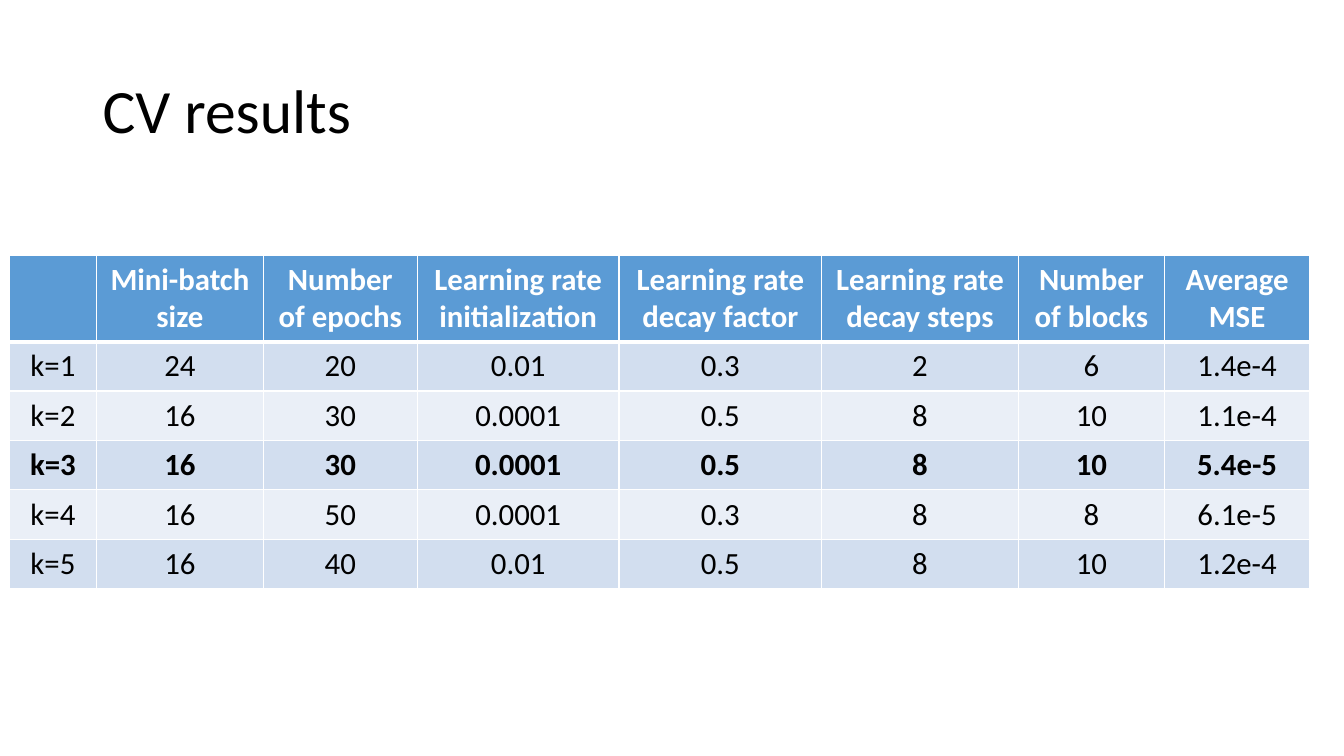
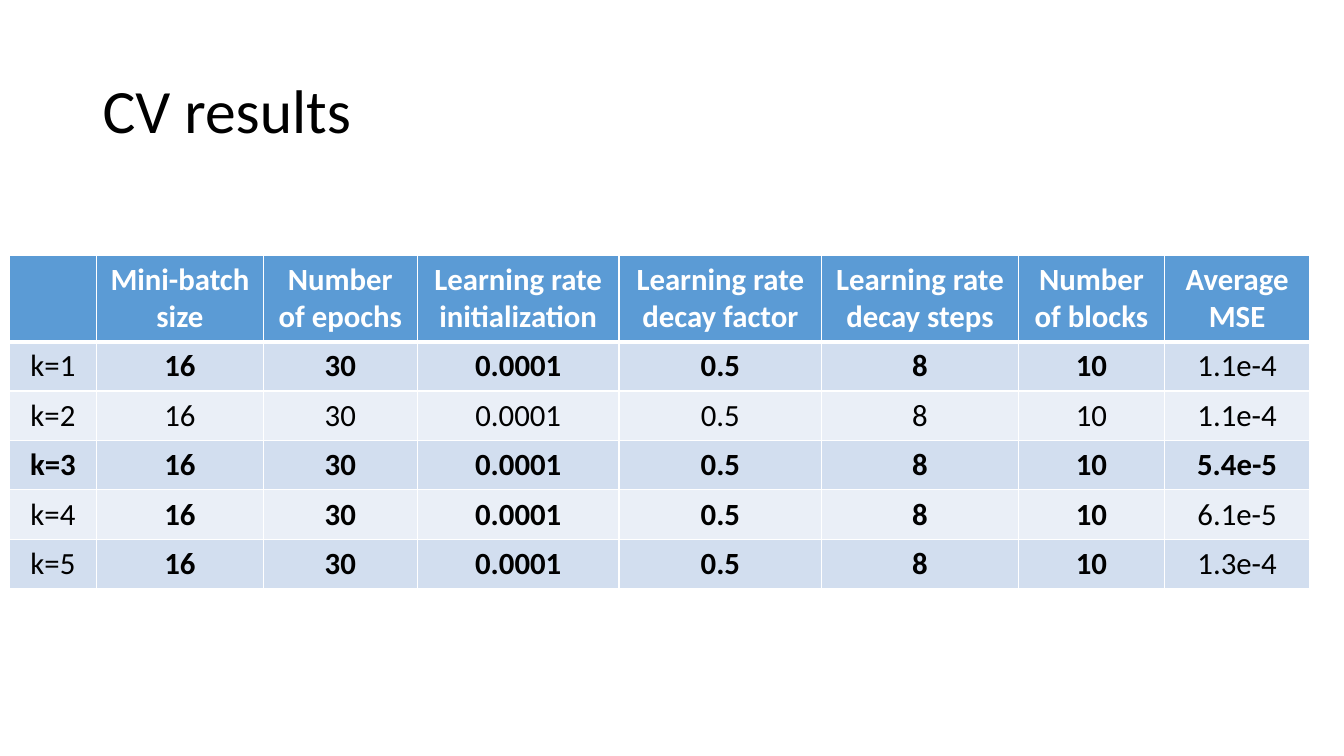
from dataclasses import dataclass

from lxml.etree import SubElement
from pptx import Presentation
from pptx.dml.color import RGBColor
from pptx.enum.text import MSO_ANCHOR, PP_ALIGN
from pptx.oxml.ns import qn
from pptx.slide import Slide
from pptx.table import _Cell
from pptx.text.text import TextFrame
from pptx.util import Inches, Pt

FONT = "Calibri"
BLACK, WHITE = "000000", "FFFFFF"
HEADER_FILL = "5B9BD5"
BAND_FILLS = ("D2DEEF", "EAEFF7")
THIN, THICK = 1, 3

TITLE = "CV results"
HEADERS = (
    "",
    "Mini-batch size",
    "Number of epochs",
    "Learning rate initialization",
    "Learning rate decay factor",
    "Learning rate decay steps",
    "Number of blocks",
    "Average MSE",
)
COLUMN_WIDTHS = (0.87, 1.65, 1.53, 2, 2.01, 1.95, 1.45, 1.44)
HEADER_HEIGHT, ROW_HEIGHT = 0.86, 0.49
TABLE_LEFT, TABLE_TOP = 0.09, 2.53


@dataclass(frozen=True)
class Fold:
    """One cross-validation fold: its chosen settings and its error."""

    settings: tuple[str, ...]
    error: str
    best: bool = False
    bold_settings: bool = False


COMMON_SETTINGS = ("16", "30", "0.0001", "0.5", "8", "10")

SEPARATE_FOLDS = (
    Fold(("24", "20", "0.01", "0.3", "2", "6"), "1.4e-4"),
    Fold(COMMON_SETTINGS, "1.1e-4"),
    Fold(COMMON_SETTINGS, "5.4e-5", best=True),
    Fold(("16", "50", "0.0001", "0.3", "8", "8"), "6.1e-5"),
    Fold(("16", "40", "0.01", "0.5", "8", "10"), "1.2e-4"),
)
COMMON_FOLDS = (
    Fold(COMMON_SETTINGS, "1.1e-4", bold_settings=True),
    Fold(COMMON_SETTINGS, "1.1e-4"),
    Fold(COMMON_SETTINGS, "5.4e-5", best=True),
    Fold(COMMON_SETTINGS, "6.1e-5", bold_settings=True),
    Fold(COMMON_SETTINGS, "1.3e-4", bold_settings=True),
)


def color(value: str) -> RGBColor:
    return RGBColor.from_string(value)


def write_text(
    frame: TextFrame,
    text: str,
    *,
    size: float = 22,
    font_color: str = BLACK,
    bold: bool = False,
    alignment: PP_ALIGN = PP_ALIGN.CENTER,
    line_spacing: float = 1.0,
) -> None:
    paragraph = frame.paragraphs[0]
    paragraph.alignment = alignment
    paragraph.line_spacing = line_spacing
    run = paragraph.add_run()
    run.text = text
    run.font.name = FONT
    run.font.size = Pt(size)
    run.font.bold = bold
    run.font.color.rgb = color(font_color)


def set_borders(cell: _Cell, top: float, bottom: float) -> None:
    """Give the cell white borders; the sides are always thin."""
    properties = cell._tc.get_or_add_tcPr()
    widths = {"a:lnL": THIN, "a:lnR": THIN, "a:lnT": top, "a:lnB": bottom}
    for tag, width in widths.items():
        line = SubElement(properties, qn(tag), w=str(Pt(width)))
        fill = SubElement(line, qn("a:solidFill"))
        SubElement(fill, qn("a:srgbClr"), val=WHITE)


def fill_cell(
    cell: _Cell,
    text: str,
    *,
    fill: str,
    font_color: str = BLACK,
    bold: bool = False,
    top: float = THIN,
    bottom: float = THIN,
) -> None:
    cell.margin_left = cell.margin_right = Inches(0.12)
    cell.margin_top = cell.margin_bottom = Inches(0.06)
    set_borders(cell, top, bottom)
    cell.fill.solid()
    cell.fill.fore_color.rgb = color(fill)
    if text:
        write_text(cell.text_frame, text, font_color=font_color, bold=bold)


def add_title(slide: Slide) -> None:
    box = slide.shapes.add_textbox(
        Inches(0.92), Inches(0.4), Inches(11.5), Inches(1.45)
    )
    box.text_frame.word_wrap = True
    box.text_frame.vertical_anchor = MSO_ANCHOR.MIDDLE
    write_text(
        box.text_frame, TITLE, size=44, alignment=PP_ALIGN.LEFT, line_spacing=0.9
    )


def add_results_table(slide: Slide, folds: tuple[Fold, ...]) -> None:
    table = slide.shapes.add_table(
        len(folds) + 1,
        len(HEADERS),
        Inches(TABLE_LEFT),
        Inches(TABLE_TOP),
        Inches(sum(COLUMN_WIDTHS)),
        Inches(HEADER_HEIGHT + ROW_HEIGHT * len(folds)),
    ).table
    for column, width in zip(table.columns, COLUMN_WIDTHS):
        column.width = Inches(width)
    for index, row in enumerate(table.rows):
        row.height = Inches(ROW_HEIGHT if index else HEADER_HEIGHT)

    for column, header in enumerate(HEADERS):
        fill_cell(
            table.cell(0, column),
            header,
            fill=HEADER_FILL,
            font_color=WHITE,
            bold=True,
            bottom=THICK,
        )
    for number, fold in enumerate(folds, start=1):
        values = (f"k={number}", *fold.settings, fold.error)
        for column, value in enumerate(values):
            is_setting = 0 < column < len(values) - 1
            fill_cell(
                table.cell(number, column),
                value,
                fill=BAND_FILLS[(number - 1) % 2],
                bold=fold.best or (fold.bold_settings and is_setting),
                top=THICK if number == 1 else THIN,
            )


def main() -> None:
    presentation = Presentation()
    presentation.slide_width = Inches(13.33)
    presentation.slide_height = Inches(7.5)
    blank_layout = presentation.slide_layouts[6]
    for folds in (SEPARATE_FOLDS, COMMON_FOLDS):
        slide = presentation.slides.add_slide(blank_layout)
        add_title(slide)
        add_results_table(slide, folds)
    presentation.save("out.pptx")


if __name__ == "__main__":
    main()
